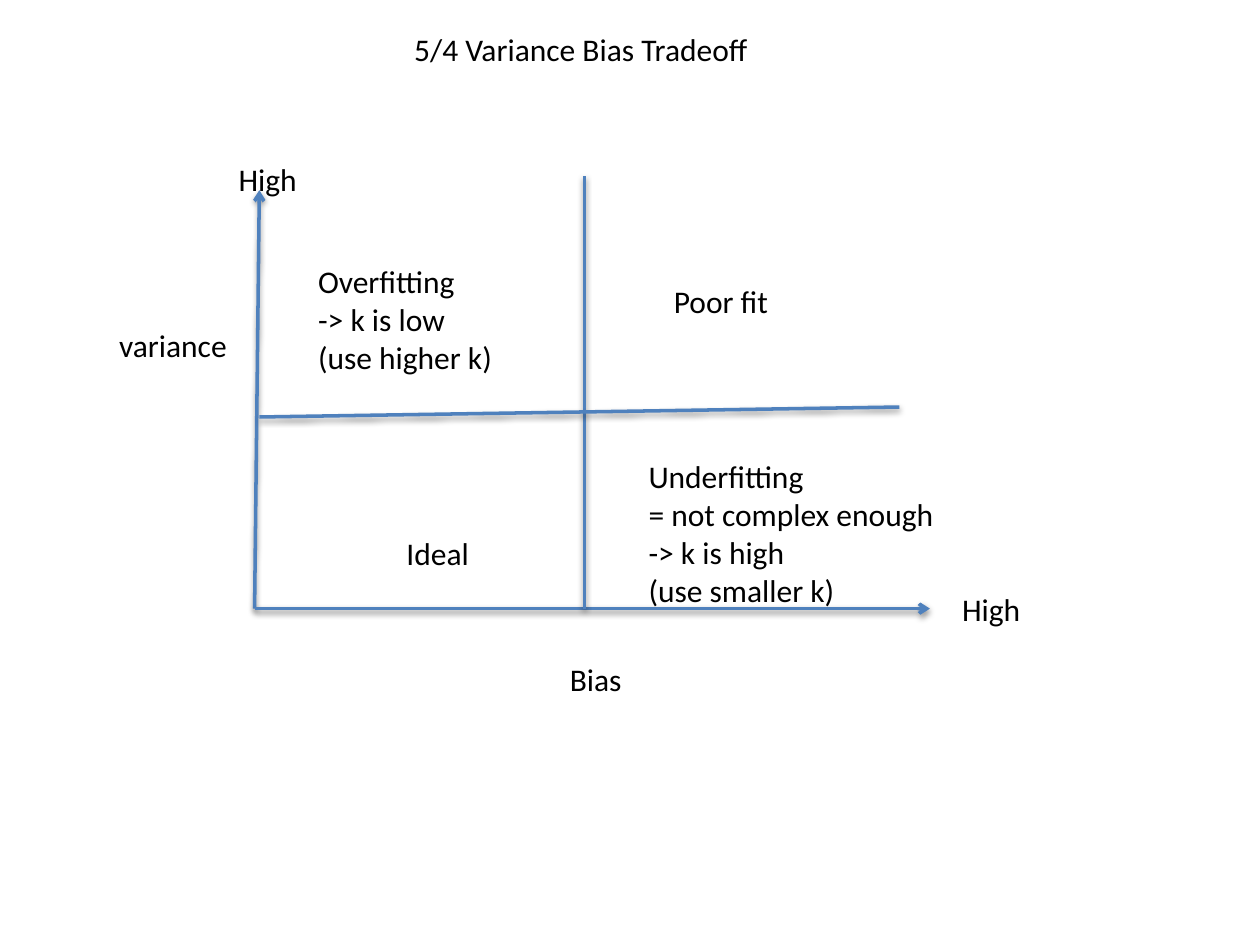
from dataclasses import dataclass

from lxml import etree
from pptx import Presentation
from pptx.dml.color import RGBColor
from pptx.enum.shapes import MSO_CONNECTOR
from pptx.enum.text import MSO_ANCHOR, MSO_AUTO_SIZE, PP_ALIGN
from pptx.oxml import parse_xml
from pptx.oxml.ns import nsdecls, qn
from pptx.util import Pt

STRAIGHT = MSO_CONNECTOR.STRAIGHT
TOP = MSO_ANCHOR.TOP
LEFT = PP_ALIGN.LEFT
NO_AUTOFIT = MSO_AUTO_SIZE.NONE
TITLE_ONLY = 5


@dataclass(frozen=True)
class Theme:
    font: str = "Calibri"
    size: int = 18
    line_height: int = 22
    padding: float = 7.2
    line_width: int = 2
    ink: RGBColor = RGBColor(0x00, 0x00, 0x00)
    accent: RGBColor = RGBColor(0x4F, 0x81, 0xBD)


class SlideBuilder:
    """Holds the theme and the current slide."""

    def __init__(self, slide, theme):
        self.slide = slide
        self.theme = theme

    def set_text(self, shape, lines):
        """Fill a text shape with one left-aligned paragraph per line."""
        frame = shape.text_frame
        frame.text = "\n".join(lines)
        frame.word_wrap = False
        frame.auto_size = NO_AUTOFIT
        frame.vertical_anchor = TOP
        for paragraph in frame.paragraphs:
            paragraph.alignment = LEFT
            for run in paragraph.runs:
                run.font.name = self.theme.font
                run.font.size = Pt(self.theme.size)
                run.font.color.rgb = self.theme.ink

    def height(self, lines):
        return Pt(len(lines) * self.theme.line_height + self.theme.padding)

    def title(self, text, left, top, width):
        shape = self.slide.shapes.title
        shape.left, shape.top = Pt(left), Pt(top)
        shape.width, shape.height = Pt(width), self.height([text])
        self.set_text(shape, [text])

    def label(self, lines, left, top, width):
        shape = self.slide.shapes.add_textbox(
            Pt(left), Pt(top), Pt(width), self.height(lines))
        self.set_text(shape, lines)

    def line(self, start, end, arrow=False):
        connector = self.slide.shapes.add_connector(
            STRAIGHT, *(Pt(value) for value in (*start, *end)))
        connector.line.color.rgb = self.theme.accent
        connector.line.width = Pt(self.theme.line_width)
        properties = connector._element.spPr
        if arrow:
            outline = properties.find(qn("a:ln"))
            etree.SubElement(outline, qn("a:tailEnd"), type="arrow")
        # Soft shadow straight below the line
        properties.append(parse_xml(
            f'<a:effectLst {nsdecls("a")}>'
            '<a:outerShdw blurRad="40000" dist="20000" dir="5400000" rotWithShape="0">'
            '<a:srgbClr val="000000"><a:alpha val="38000"/></a:srgbClr>'
            '</a:outerShdw></a:effectLst>'))


def main():
    presentation = Presentation()
    presentation.slide_width, presentation.slide_height = Pt(720), Pt(540)
    slide = presentation.slides.add_slide(presentation.slide_layouts[TITLE_ONLY])
    builder = SlideBuilder(slide, Theme())

    builder.title("5/4 Variance Bias Tradeoff", 229.5, 13.5, 209.5)

    # Axes
    origin = (145.5, 347.8)
    axis_top = (148.2, 108.7)
    builder.line(origin, axis_top, arrow=True)
    builder.line(origin, (531.4, origin[1]), arrow=True)

    # Axis names and ends
    for text, left, top, width in (
        ("variance", 61, 182.8, 77),
        ("Bias", 318.5, 373.7, 44.6),
        ("High", 129.3, 87.8, 48.2),
        ("High", 542.7, 333.5, 48.2),
    ):
        builder.label([text], left, top, width)

    # Quadrants
    for lines, left, top, width in (
        (["Overfitting", "-> k is low", "(use higher k)"], 174.7, 146.2, 115.2),
        (["Poor fit"], 378, 157.7, 69.1),
        (["Ideal"], 225.2, 301.7, 50),
        (["Underfitting", "= not complex enough", "-> k is high",
          "(use smaller k)"], 363.5, 257.8, 179.3),
    ):
        builder.label(lines, left, top, width)

    # Dividers between the quadrants
    builder.line((334, 100.8), (334, origin[1]))
    builder.line((axis_top[0], 238.3), (514, 232.6))

    presentation.save("out.pptx")


if __name__ == "__main__":
    main()
